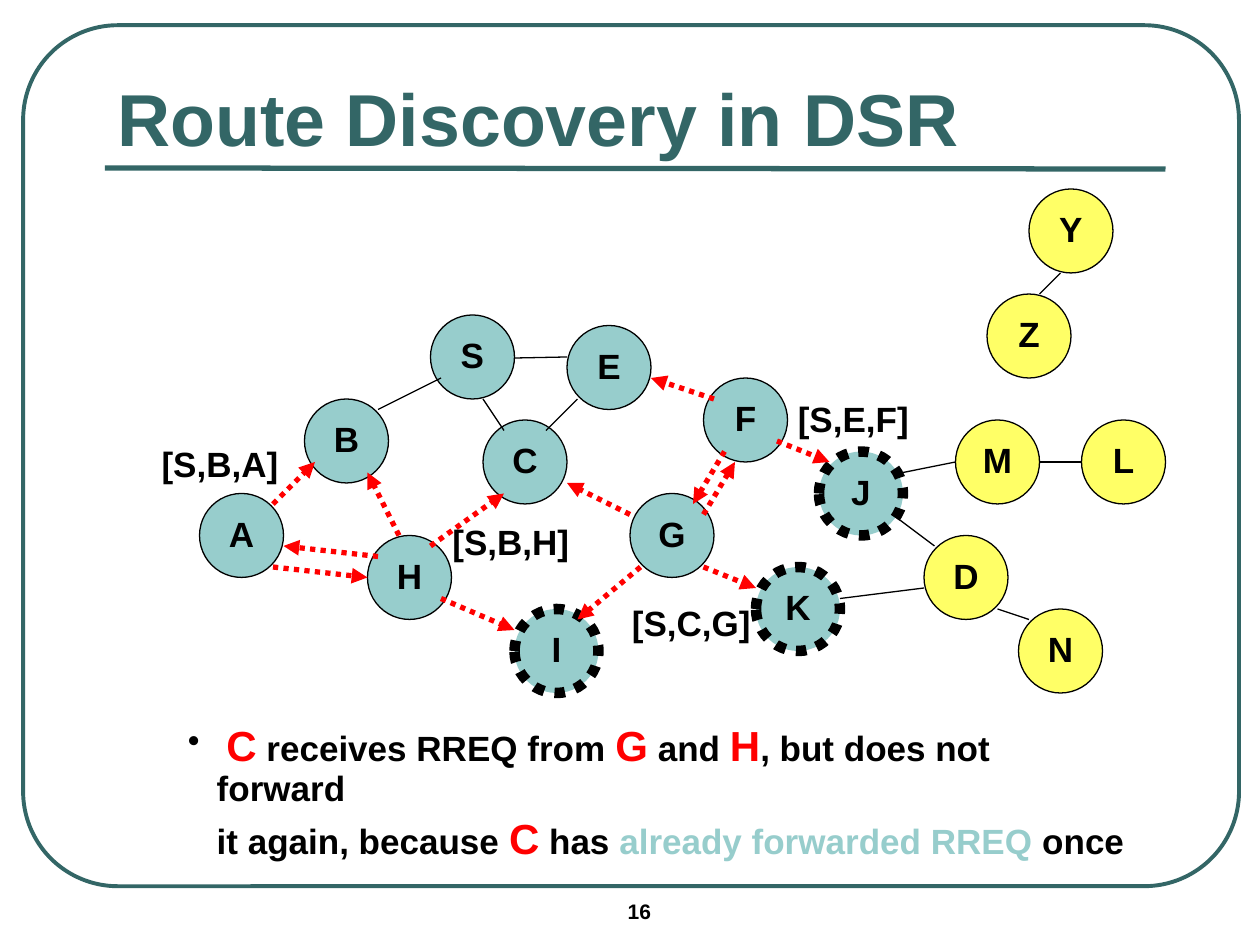
"""Build the slide on route discovery in DSR."""
from typing import NamedTuple

from lxml.etree import SubElement as Sub
from pptx import Presentation
from pptx.dml.color import RGBColor as RGB
from pptx.enum.dml import MSO_LINE as Dash
from pptx.enum.shapes import MSO_CONNECTOR as Conn, MSO_SHAPE as Kind
from pptx.enum.text import MSO_ANCHOR as Anchor, PP_ALIGN as Align
from pptx.oxml.ns import qn
from pptx.util import Inches, Pt

PINE = RGB(0x33, 0x66, 0x66)
AQUA = RGB(0x97, 0xCD, 0xCC)
LEMON = RGB(0xFF, 0xFF, 0x66)
RED = RGB(0xFF, 0x00, 0x00)
BLACK = RGB(0x00, 0x00, 0x00)
COLS, ROWS = 120, 90
WIDE, HIGH = Inches(10), Inches(7.5)
SIDE = 8


class Box(NamedTuple):
    """A place on the grid."""
    col: float
    row: float
    cols: float
    rows: float


class Node(NamedTuple):
    """A circle with its letter."""
    name: str
    col: int
    row: int
    fill: RGB = AQUA
    edge: bool = False


class Link(NamedTuple):
    """A straight line between two grid points."""
    col: float
    row: float
    to_col: float
    to_row: float


class Span(NamedTuple):
    """A stretch of text in one format."""
    text: str
    size: int = 20
    color: RGB = BLACK


NODES = [
    Node("B", 29, 38), Node("A", 19, 47), Node("S", 41, 30),
    Node("E", 54, 31), Node("F", 67, 36), Node("H", 35, 51),
    Node("J", 78, 43, edge=True), Node("D", 88, 51, LEMON),
    Node("C", 46, 40), Node("G", 60, 47), Node("I", 49, 58, edge=True),
    Node("K", 72, 54, edge=True), Node("Z", 94, 28, LEMON),
    Node("Y", 98, 18, LEMON), Node("M", 91, 40, LEMON),
    Node("N", 97, 58, LEMON), Node("L", 103, 40, LEMON),
]
PLAIN = [
    Link(36, 39, 42, 36), Link(55, 38, 52, 41), Link(85, 49, 89, 52),
    Link(88, 56, 80, 57), Link(54, 34, 49, 34.1), Link(46, 38, 48, 41),
    Link(101, 26, 99, 28), Link(86, 45, 91, 44), Link(95, 58, 98, 59),
    Link(99, 44, 103, 44),
]
SENT = [
    Link(26, 48, 30, 44), Link(36, 53, 27, 52), Link(38, 51, 35, 45),
    Link(41, 52, 48, 47), Link(68, 38, 62, 36), Link(69, 43, 66, 48),
    Link(61, 54, 55, 59), Link(60, 49, 54, 46), Link(42, 57, 49, 60),
    Link(74, 42, 79, 44), Link(67, 54, 72, 56), Link(26, 54, 35, 55),
    Link(67, 49, 70, 44),
]
PATHS = {
    "[S,C,G]": Box(59, 57.1, 13.7, 4.9), "[S,E,F]": Box(74.8, 37.6, 13, 4.9),
    "[S,B,A]": Box(14.2, 41.9, 13.6, 4.9), "[S,B,H]": Box(41.9, 49.3, 13.6, 4.9),
}
FIRST = [
    Span(" "), Span("C", 24, RED), Span(" receives RREQ from "),
    Span("G", 24, RED), Span(" and "), Span("H", 24, RED),
    Span(", but does not"),
]
LAST = [
    Span("it again, because "), Span("C", 24, RED), Span(" has "),
    Span("already forwarded RREQ", color=AQUA), Span(" once"),
]


def across(col: float) -> int:
    """Turn columns into a length."""
    return round(WIDE * col / COLS)


def down(row: float) -> int:
    """Turn rows into a length."""
    return round(HIGH * row / ROWS)


def place(box: Box) -> tuple:
    """Turn a grid box into lengths."""
    return across(box.col), down(box.row), across(box.cols), down(box.rows)


def style(item, form: dict) -> None:
    """Set each format value on an item."""
    for key, value in form.items():
        setattr(item, key, value)


def stroke(line, color: RGB, width: float, dash=None) -> None:
    """Format an outline."""
    line.color.rgb = color
    style(line, {"width": Pt(width), "dash_style": dash})


def write(para, spans: list) -> None:
    """Fill a paragraph with formatted spans."""
    para.line_spacing = 0.93
    for span in spans:
        run = para.add_run()
        run.text = span.text
        style(run.font, {"name": "Arial", "size": Pt(span.size), "bold": True})
        run.font.color.rgb = span.color


def label(slide, box: Box, spans: list, anchor=Anchor.MIDDLE, wrap=False):
    """Add a text box and return its frame."""
    frame = slide.shapes.add_textbox(*place(box)).text_frame
    style(frame, {"word_wrap": wrap, "vertical_anchor": anchor})
    write(frame.paragraphs[0], spans)
    return frame


def circle(slide, node: Node) -> None:
    """Draw a node."""
    box = Box(node.col, node.row, SIDE, SIDE)
    shape = slide.shapes.add_shape(Kind.OVAL, *place(box))
    shape.shadow.inherit = False
    shape.fill.solid()
    shape.fill.fore_color.rgb = node.fill
    stroke(shape.line, BLACK, *((6, Dash.ROUND_DOT) if node.edge else (0.75,)))
    frame = shape.text_frame
    style(frame, {"margin_left": 0, "margin_right": 0,
                  "vertical_anchor": Anchor.MIDDLE})
    para = frame.paragraphs[0]
    para.alignment = Align.CENTER
    write(para, [Span(node.name)])


def join(slide, link: Link, color=BLACK, width=0.75, dash=None, arrow=False) -> None:
    """Draw a link, with an arrowhead at its end if asked."""
    line = slide.shapes.add_connector(
        Conn.STRAIGHT, across(link.col), down(link.row),
        across(link.to_col), down(link.to_row))
    stroke(line.line, color, width, dash)
    if arrow:
        Sub(line.line._get_or_add_ln(), qn("a:tailEnd"), type="triangle")
    Sub(line._element.spPr, qn("a:effectLst"))


def indent(para, bullet: bool = False) -> None:
    """Indent a paragraph, with a hanging bullet if asked."""
    props = para._p.get_or_add_pPr()
    gap = Inches(0.23)
    props.set("marL", str(gap))
    if bullet:
        props.set("indent", str(-gap))
        tint = Sub(props, qn("a:buClr"))
        Sub(tint, qn("a:srgbClr"), val=str(BLACK))
        Sub(props, qn("a:buChar"), char="•")


def main() -> None:
    """Build and save the slide."""
    deck = Presentation()
    style(deck, {"slide_width": WIDE, "slide_height": HIGH})
    slide = deck.slides.add_slide(deck.slide_layouts[6])
    label(slide, Box(58.6, 85.2, 14, 3.5), [Span("16", 12)], Anchor.TOP, True)
    frame = slide.shapes.add_shape(Kind.ROUNDED_RECTANGLE, *place(Box(2.2, 2.4, 115.8, 82)))
    frame.shadow.inherit = False
    frame.adjustments[0] = 0.11
    frame.fill.background()
    stroke(frame.line, PINE, 2.25)
    join(slide, Link(10, 16, 111, 16.1), PINE, 3)
    label(slide, Box(10, 7, 101, 9.1), [Span("Route Discovery in DSR", 42, PINE)],
          Anchor.BOTTOM, True)
    for node in NODES:
        circle(slide, node)
    for link in PLAIN:
        join(slide, link)
    for link in SENT:
        join(slide, link, RED, 3, Dash.ROUND_DOT, True)
    for text, box in PATHS.items():
        label(slide, box, [Span(text)])
    body = label(slide, Box(16.7, 70.3, 91.6, 10.6), FIRST, wrap=True)
    body.margin_right = 0
    top = body.paragraphs[0]
    indent(top, True)
    top.add_line_break()
    write(top, [Span("forward")])
    end = body.add_paragraph()
    indent(end)
    end.space_before = Pt(4)
    write(end, LAST)
    deck.save("out.pptx")


if __name__ == "__main__":
    main()
